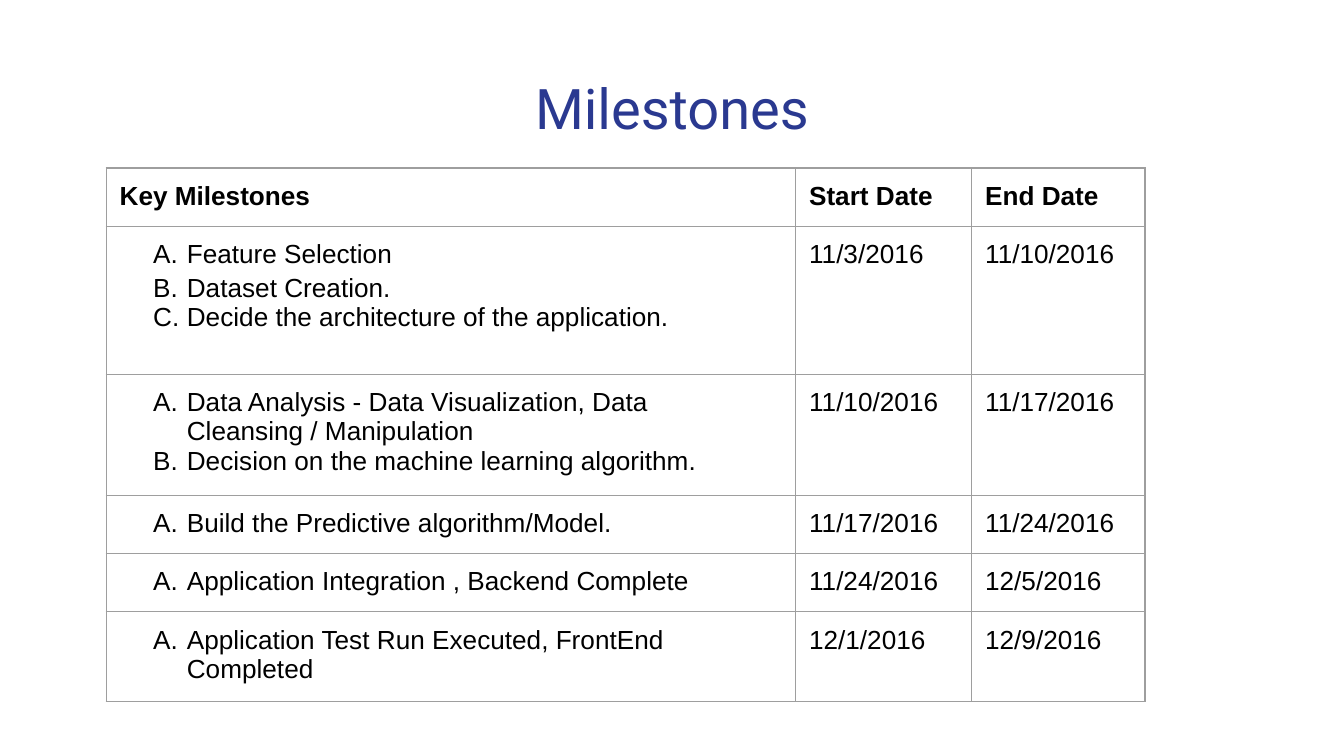
from pptx import Presentation
from pptx import util as u
from pptx.dml.color import RGBColor
from pptx.enum import text
from pptx.oxml import parse_xml
from pptx.oxml.ns import nsdecls

WIDE = 10
HIGH = WIDE * 9 / 16
PAD = u.Inches(0.1)
BLACK, BLUE, GREY = "000000", "2A3990", "9E9E9E"

# Table grid, in inches; rows grow to fit their text
LEFT, TOP, FRAME = 0.79, 1.25, 3.28
COLS = [5.13, 1.31, 1.29]
ROWS = [0.42, 1.1, 0.86, 0.42, 0.42, 0.42]

HEADS = ["Key Milestones", "Start Date", "End Date"]
STEPS = [
    (["Feature Selection", "Dataset Creation.",
      "Decide the architecture of the application."],
     "11/3/2016", "11/10/2016"),
    (["Data Analysis - Data Visualization, Data Cleansing / Manipulation",
      "Decision on the machine learning algorithm."],
     "11/10/2016", "11/17/2016"),
    (["Build the Predictive algorithm/Model."], "11/17/2016", "11/24/2016"),
    (["Application Integration , Backend Complete"],
     "11/24/2016", "12/5/2016"),
    (["Application Test Run Executed, FrontEnd Completed"],
     "12/1/2016", "12/9/2016"),
]


def color(code):
    return RGBColor.from_string(code)


def style(frame, font, size, code, bold=False):
    for para in frame.paragraphs:
        for run in para.runs:
            run.font.name = font
            run.font.size = u.Pt(size)
            run.font.bold = bold
            run.font.color.rgb = color(code)


def pad(item):
    item.margin_left = item.margin_right = PAD
    item.margin_top = item.margin_bottom = PAD


def add_title(slide, words):
    box = slide.shapes.add_textbox(
        u.Inches(0.034 * WIDE), u.Inches(0.08 * HIGH),
        u.Inches(0.932 * WIDE), u.Inches(0.117 * HIGH))
    frame = box.text_frame
    frame.word_wrap = True
    pad(frame)
    frame.text = words
    frame.paragraphs[0].alignment = text.PP_ALIGN.CENTER
    style(frame, "Roboto", 30, BLUE)


def add_edges(cell):
    props = cell._tc.get_or_add_tcPr()
    for spot, side in enumerate("LRTB"):
        props.insert(spot, parse_xml(
            f'<a:ln{side} {nsdecls("a")} w="{u.Pt(0.75)}"><a:solidFill>'
            f'<a:srgbClr val="{GREY}"/></a:solidFill></a:ln{side}>'))


def add_letters(frame):
    for para in frame.paragraphs:
        props = para._p.get_or_add_pPr()
        props.set("marL", str(u.Inches(0.5)))
        props.set("indent", str(u.Inches(-0.25)))
        props.append(parse_xml(
            f'<a:buAutoNum {nsdecls("a")} type="alphaUcPeriod"/>'))


def fill_cell(cell, words, bold=False):
    pad(cell)
    cell.fill.background()
    add_edges(cell)
    frame = cell.text_frame
    if isinstance(words, list):
        frame.text = "\n".join(words)
        add_letters(frame)
    else:
        frame.text = words
    style(frame, "Arial", 14, BLACK, bold)


def add_grid(slide):
    holder = slide.shapes.add_table(
        len(ROWS), len(COLS), u.Inches(LEFT), u.Inches(TOP),
        u.Inches(FRAME), u.Inches(FRAME))
    table = holder.table
    table.first_row = table.horz_banding = False
    for col, wide in zip(table.columns, COLS):
        col.width = u.Inches(wide)
    for row, high in zip(table.rows, ROWS):
        row.height = u.Inches(high)
    # Sizing the grid resizes its holder, so the holder is set last
    holder.width = holder.height = u.Inches(FRAME)
    for r, line in enumerate([HEADS, *STEPS]):
        for c, words in enumerate(line):
            fill_cell(table.cell(r, c), words, bold=r == 0)
    # The second step of the first phase is set looser
    table.cell(1, 0).text_frame.paragraphs[1].line_spacing = 1.15


def main():
    deck = Presentation()
    deck.slide_width, deck.slide_height = u.Inches(WIDE), u.Inches(HIGH)
    slide = deck.slides.add_slide(deck.slide_layouts[6])
    add_title(slide, "Milestones")
    add_grid(slide)
    deck.save("out.pptx")


if __name__ == "__main__":
    main()
